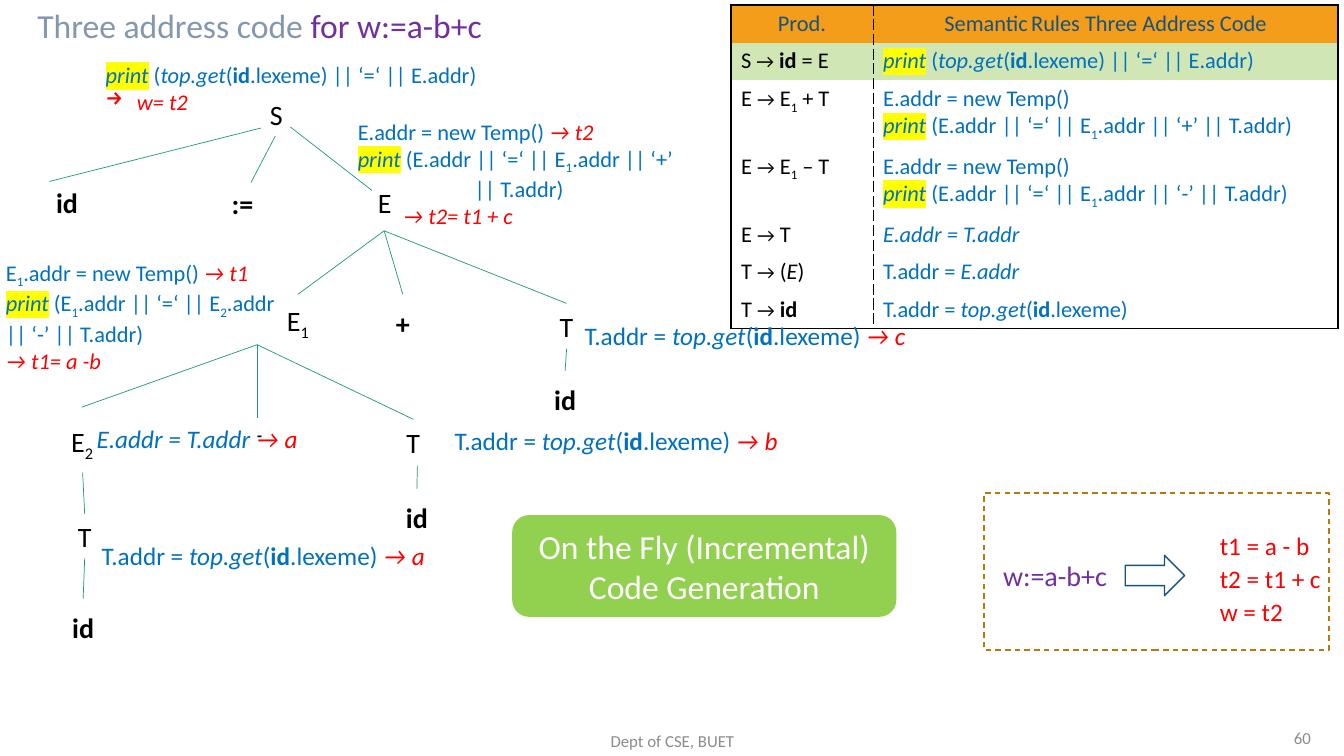
from lxml.etree import SubElement as Sub
from pptx import Presentation as Deck
from pptx.dml.color import RGBColor as Rgb
from pptx.enum.dml import MSO_LINE as Dash
from pptx.enum.shapes import MSO_CONNECTOR as Link, MSO_SHAPE as Form
from pptx.enum.text import MSO_ANCHOR as Anchor, MSO_AUTO_SIZE as Auto, PP_ALIGN as Align
from pptx.oxml.ns import qn
from pptx.util import Inches, Pt

HUES = {"black": "000000", "white": "FFFFFF", "blue": "0070C0", "red": "FF0000",
        "violet": "7030A0", "slate": "8497B0", "grey": "8C8C8C", "navy": "16537F",
        "yellow": "FFFF00", "orange": "F39D1B", "pale": "D1E6B5", "lime": "92D050",
        "green": "1D9A78", "brown": "BC770B"}
# Letters that mark a run: italic, bold, 14 pt arrow, 10.5 pt gap
MARKS = {"i": {"italic": True}, "b": {"bold": True},
         "a": {"size": Pt(14)}, "g": {"size": Pt(10.5)}}
INKS = {"r": "red", "v": "violet"}
BARE = "{2D5ABB26-0587-4C30-8999-92F81FD0307C}"


class Board:
    """Style and current slide; lengths count grid cells of 0.1 inch."""
    face = "Calibri"
    cell = 0.1

    def __init__(self, deck, layout):
        self.slide = deck.slides.add_slide(layout)
        self.shapes = self.slide.shapes

    def span(self, *counts):
        return [Inches(n * self.cell) for n in counts]

    def hue(self, name):
        return Rgb.from_string(HUES[name])

    def run(self, para, text, marks, size, ink):
        run = para.add_run()
        run.text = text
        font = run.font
        font.color.rgb = self.hue(next((INKS[m] for m in marks if m in INKS), ink))
        if "h" in marks:
            glow = Sub(font._element, qn("a:highlight"))
            Sub(glow, qn("a:srgbClr"), val=HUES["yellow"])
        if "s" in marks:
            font._element.set("baseline", "-25000")
        look = {"name": self.face, "size": Pt(size)}
        for mark in marks:
            look.update(MARKS.get(mark, {}))
        for key, value in look.items():
            setattr(font, key, value)

    def fill(self, frame, paras, size, ink, align=Align.LEFT, dents=None, bullet=None):
        for i, runs in enumerate(paras):
            para = frame.paragraphs[0] if i == 0 else frame.add_paragraph()
            para.alignment = align
            props = para._p.get_or_add_pPr()
            if dents and i in dents:
                props.set("marL", str(self.span(dents[i])[0]))
            if i == bullet:
                props.set("indent", str(self.span(-dents[i])[0]))
                Sub(props, qn("a:buChar"), char="→")
            for item in runs:
                text, marks = (item, "") if isinstance(item, str) else item
                self.run(para, text, marks, size, ink)

    def title(self, at, runs):
        box = self.shapes.title
        box.left, box.top, box.width, box.height = self.span(*at)
        frame = box.text_frame
        frame.auto_size, frame.vertical_anchor = Auto.NONE, Anchor.MIDDLE
        self.fill(frame, [runs], 24, "slate")

    def note(self, at, paras, size=18, ink="blue", anchor=Anchor.TOP, **more):
        frame = self.shapes.add_textbox(*self.span(*at)).text_frame
        frame.word_wrap, frame.vertical_anchor = True, anchor
        self.fill(frame, paras, size, ink, **more)

    def shape(self, form, at, fill=None, line=None, dash=None):
        shape = self.shapes.add_shape(form, *self.span(*at))
        shape.shadow.inherit = False
        if fill:
            shape.fill.solid()
            shape.fill.fore_color.rgb = self.hue(fill)
        else:
            shape.fill.background()
        if line:
            shape.line.color.rgb, shape.line.width = self.hue(line), Pt(1)
            shape.line.dash_style = dash
        else:
            shape.line.fill.background()
        return shape

    def node(self, at, *runs):
        node = self.shape(Form.OVAL, at)
        frame = node.text_frame
        frame.word_wrap, frame.vertical_anchor = False, Anchor.MIDDLE
        self.fill(frame, [runs], 20, "black", Align.CENTER)
        return node

    def edge(self, start, end):
        """Line from a point to a point, or to the top of a node."""
        joined = not isinstance(end, tuple)
        stop = start if joined else end
        edge = self.shapes.add_connector(Link.STRAIGHT, *self.span(*start, *stop))
        if joined:
            edge.end_connect(end, 0)
        edge.line.color.rgb, edge.line.width = self.hue("green"), Pt(0.5)
        Sub(edge._element.spPr, qn("a:effectLst"))

    def side(self, cell, name, width, dash):
        line = Sub(cell._tc.get_or_add_tcPr(), qn("a:ln" + name), w=str(Pt(width)))
        Sub(Sub(line, qn("a:solidFill")), qn("a:srgbClr"), val=HUES["black"])
        Sub(line, qn("a:prstDash"), val=dash)

    def table(self, at, cols, highs, rows):
        table = self.shapes.add_table(len(rows), len(cols), *self.span(*at)).table
        table.first_row = table.horz_banding = False
        table._tbl.tblPr.find(qn("a:tableStyleId")).text = BARE
        for part, size in zip([*table.columns, *table.rows], self.span(*cols)
                              + self.span(*highs)):
            setattr(part, "width" if hasattr(part, "width") else "height", size)
        thin, firm = (0.25, "sysDash"), (1, "solid")
        for r, row in enumerate(rows):
            for c, paras in enumerate(row):
                cell = table.cell(r, c)
                self.side(cell, "L", *(thin if c else firm))
                self.side(cell, "R", *(firm if c else thin))
                if r == 0:
                    self.side(cell, "T", *firm)
                if r == len(rows) - 1:
                    self.side(cell, "B", *firm)
                tint = {0: "orange", 1: "pale"}.get(r)
                if tint:
                    cell.fill.solid()
                    cell.fill.fore_color.rgb = self.hue(tint)
                else:
                    cell.fill.background()
                ink = "navy" if r == 0 else "blue" if c else "black"
                self.fill(cell.text_frame, paras, 16, ink,
                          Align.LEFT if r else Align.CENTER)


def main():
    deck = Deck()
    deck.slide_width, deck.slide_height = Inches(13.33), Inches(7.5)
    board = Board(deck, deck.slide_layouts[5])
    board.title((2.7, 0, 49.3, 5), ["Three address code ", ("for w:=a-b+c", "v")])

    # Phrases shared by the rules and the notes
    show, sub, arrow = ("print", "ih"), ("1", "s"), ("→", "a")
    get = [("top.get", "i"), "(", ("id", "b")]
    save = [show, " (", *get, ".lexeme) || ‘=‘ || E.addr)"]
    fetch = ["T.addr = ", *get, ".lexeme)"]
    temp = ["E.addr = new Temp()"]

    # Table of semantic rules
    rows = [([["Prod."]], [["Semantic", (" ", "gb"), "Rules Three Address Code"]]),
            ([["S ", arrow, " ", ("id", "b"), " = E"]], [save])]
    for sign, mark in (("+", "+"), ("–", "-")):
        rows.append(([["E ", arrow, " E", sub, f" {sign} T"]],
                     [temp, [show, " (E.addr || ‘=‘ || E", sub,
                             f".addr || ‘{mark}’ || T.addr)"]]))
    rows += [([["E ", arrow, " T"]], [[("E.addr = T.addr", "i")]]),
             ([["T ", arrow, " (", ("E", "i"), ")"]], [["T.addr = ", ("E.addr", "i")]]),
             ([["T ", arrow, " ", ("id", "b")]], [fetch])]
    one, two = 3.7, 6.7
    board.table((72.5, 0.5, 60.2, 31.9), (14.1, 46.1),
                (one, one, two, two, one, one, one), rows)

    # Nodes of the parse tree
    word = ("id", "b")
    board.node((25.3, 9.2, 4.2, 4.2), "S")
    board.node((3.4, 18, 6.5, 4.2), word)
    board.node((20.8, 18.1, 6.5, 4.2), (":=", "b"))
    board.node((34.7, 17.2, 6.9, 5.7), "E")
    first = board.node((22, 29.2, 15.1, 5.7), "E", sub)
    plus = board.node((32.4, 29.2, 15.1, 5.7), ("+", "b"))
    board.node((0.6, 41.2, 15.1, 5.7), "E", ("2", "s"))
    board.node((22.1, 39.4, 7.3, 5.7), ("-", "bs"))
    right, mid, low = [board.node((x, y, 6.4, 4.5), "T")
                       for x, y in ((53, 30.1), (37.8, 41.6), (5.2, 51))]
    leaves = [board.node((x, y, 15.1, 5.7), word)
              for x, y in ((48.5, 36.8), (33.8, 48.5), (0.7, 59.4))]

    # Edges of the parse tree
    for start, ends in {
            (25.9, 12.7): [(4.9, 18)], (27.3, 13.5): [(24.9, 18.1)],
            (28.8, 12.6): [(36.9, 18.9)], (38.1, 22.9): [first, plus, right],
            (25.5, 34.2): [(8.1, 40.4), (25.5, 41.5), mid], (8.2, 46.9): [low],
            (56.2, 34.6): leaves[:1], (41.4, 46.2): leaves[1:2],
            (8.4, 55.4): leaves[2:]}.items():
        for end in ends:
            board.edge(start, end)

    # Actions beside the nodes
    board.note((9.5, 5.6, 52, 6.4), [save, [("w= t2", "ir")]], 16,
               dents={1: 3.1}, bullet=1)
    board.note((34.5, 11.2, 35.8, 11.8),
               [[*temp, " ", ("→ t2", "ir")],
                [show, " (E.addr || ‘=‘ || E", sub, ".addr || ‘+’"],
                ["|| T.addr)"], [("→ t2= t1 + c", "ir")]], 16, dents={2: 11.6, 3: 4.5})
    board.note((-0.4, 25.2, 29.1, 11.8),
               [["E", sub, ".addr = new Temp() ", ("→ t1", "ir")],
                [show, " (E", sub, ".addr || ‘=‘ || E", ("2", "s"),
                 ".addr || ‘-’ || T.addr)"], [("→ t1= a -b", "ir")]], 16)
    board.note((8.6, 41.5, 27.3, 4), [[("E.addr = T.addr ", "i"), ("→ a", "ir")]])
    for x, y, name in ((9.1, 53.1, "a"), (44.1, 41.7, "b"), (57, 31.3, "c")):
        board.note((x, y, 36.6, 4), [[*fetch, " ", (f"→ {name}", "ir")]])

    # Input and generated code
    board.shape(Form.RECTANGLE, (97.6, 48.9, 34.2, 15.6), line="brown", dash=Dash.DASH)
    board.shape(Form.RIGHT_ARROW, (111.6, 55.1, 5.9, 4), line="navy")
    board.note((98.5, 54.9, 15, 4.4), [["w:=a-b+c"]], 20, "violet")
    for i, code in enumerate(("t1 = a - b", "t2 = t1 + c", "w = t2")):
        board.note((120, 52.1 + 3.3 * i, 13, 4), [[code]], ink="red")

    # Banner and footer
    banner = board.shape(Form.ROUNDED_RECTANGLE, (50.8, 51.1, 38.1, 10.1), "lime")
    board.fill(banner.text_frame, [["On the Fly (Incremental) Code Generation"]],
               24, "white", Align.CENTER)
    for at, text, align in (((44.2, 71.5, 45, 4), "Dept of CSE, BUET", Align.CENTER),
                            ((101, 71.2, 30, 4), "60", Align.RIGHT)):
        board.note(at, [[text]], 12, "grey", Anchor.MIDDLE, align=align)

    deck.save("out.pptx")


if __name__ == "__main__":
    main()
